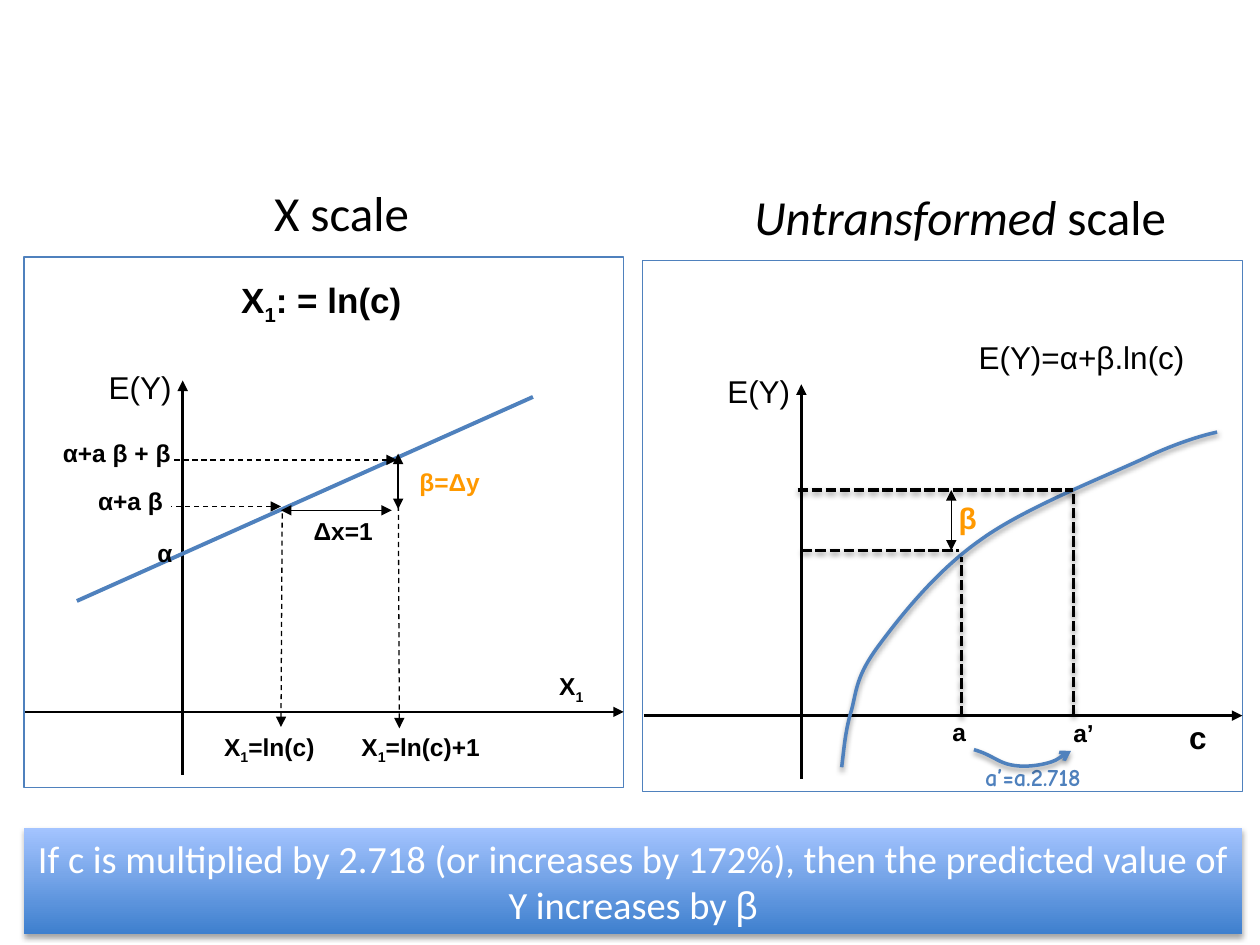
from lxml import etree
from pptx import Presentation
from pptx.dml.color import RGBColor
from pptx.enum import dml, shapes, text
from pptx.oxml import ns
from pptx.util import Inches, Pt

BLACK, BLUE, ORANGE, WHITE = "000000", "4F81BD", "FF9900", "FFFFFF"
LEFT, CENTER, RIGHT = text.PP_ALIGN.LEFT, text.PP_ALIGN.CENTER, text.PP_ALIGN.RIGHT
DASH, SHORT_DASH = dml.MSO_LINE.DASH, dml.MSO_LINE.SQUARE_DOT


def color(value):
    return RGBColor.from_string(value)


def add_child(parent, tag, **attributes):
    return etree.SubElement(parent, ns.qn(tag), attributes)


def set_effects(shape, shadow=False, alpha=38, distance=1.6):
    """Replace the theme shadow with none, or with a soft one below the shape."""
    effects = add_child(shape.element.spPr, "a:effectLst")
    if shadow:
        outer = add_child(effects, "a:outerShdw", blurRad=str(Pt(3.1)),
                          dist=str(Pt(distance)), dir="5400000", rotWithShape="0")
        black = add_child(outer, "a:srgbClr", val=BLACK)
        add_child(black, "a:alpha", val=str(alpha * 1000))


def style_line(shape, stroke, width, dash=None, head=None, tail=None):
    line = shape.line
    line.color.rgb = color(stroke)
    line.width = Pt(width)
    if dash:
        line.dash_style = dash
    outline = shape.element.spPr.find(ns.qn("a:ln"))
    for tag, arrow in (("a:headEnd", head), ("a:tailEnd", tail)):
        if arrow:
            add_child(outline, tag, type=arrow)


def add_line(page, start, end, width=0.75, stroke=BLACK, dash=None,
             head=None, tail=None, shadow=False):
    points = [Inches(value) for value in (*start, *end)]
    connector = page.shapes.add_connector(shapes.MSO_CONNECTOR.STRAIGHT, *points)
    style_line(connector, stroke, width, dash, head, tail)
    set_effects(connector, shadow)


def add_curve(page, points, tail=None):
    """Draw a Bezier curve: a start, then two control points and an end per piece."""
    start, *others = [(Inches(x), Inches(y)) for x, y in points]
    builder = page.shapes.build_freeform(*start)
    builder.add_line_segments(others, close=False)
    curve = builder.convert_to_shape()
    segments = list(curve.element.iter(ns.qn("a:lnTo")))
    for first in range(0, len(segments), 3):
        piece = segments[first:first + 3]
        bezier = etree.Element(ns.qn("a:cubicBezTo"))
        piece[0].addprevious(bezier)
        for segment in piece:
            bezier.append(segment[0])
            segment.getparent().remove(segment)
    curve.fill.background()
    style_line(curve, BLUE, 2, tail=tail)
    set_effects(curve, shadow=True)


def write(frame, spans, size, stroke=BLACK, bold=False, align=LEFT, font="Arial"):
    """Fill a frame; a span is text, or text with 'sub', 'italic' or a font name."""
    frame.word_wrap = True
    para = frame.paragraphs[0]
    para.alignment = align
    for item in spans:
        content, kind = (item, None) if isinstance(item, str) else item
        span = para.add_run()
        span.text = content
        span.font.name = font
        span.font.size = Pt(size)
        span.font.bold = bold
        span.font.color.rgb = color(stroke)
        if kind == "sub":
            span.font._element.set("baseline", "-25000")
        elif kind == "italic":
            span.font.italic = True
        elif kind:
            span.font.name = kind


def add_text(page, place, spans, size, **style):
    box = page.shapes.add_textbox(*map(Inches, place))
    write(box.text_frame, spans, size, **style)


def add_label(page, place, *spans, size=14, stroke=BLACK, font="Arial"):
    add_text(page, place, spans, size, stroke=stroke, bold=True, font=font)


def add_panel(page, title, dx, dy):
    """Draw the title, frame and axes of one graph, moved by dx and dy."""
    add_text(page, (0.5 + dx, 1.4 + dy, 4.42, 0.76), title, 28,
             align=CENTER, font="Calibri")
    frame = page.shapes.add_shape(
        shapes.MSO_SHAPE.RECTANGLE,
        *map(Inches, (0.19 + dx, 2.04 + dy, 4.76, 4.21)))
    frame.fill.background()
    style_line(frame, BLUE, 0.75)
    set_effects(frame)
    add_line(page, (1.45 + dx, 3.02 + dy), (1.45 + dx, 6.15 + dy), 2, head="triangle")
    add_line(page, (0.2 + dx, 5.65 + dy), (4.95 + dx, 5.65 + dy), 1.5, tail="triangle")
    add_text(page, (0.04 + dx, 2.87 + dy, 1.42, 0.4), ["E(Y)"], 18, align=RIGHT)


def add_log_graph(page):
    add_panel(page, ["X scale"], 0, 0)
    add_line(page, (0.61, 4.77), (4.23, 3.15), 2.25, BLUE)
    guides = [((2.23, 5.77), (2.24, 4.06)), ((3.17, 5.78), (3.16, 3.64)),
              ((3.15, 3.65), (1.36, 3.65)), ((2.23, 4.02), (1.36, 4.02))]
    for start, end in guides:
        add_line(page, start, end, dash=DASH, head="triangle")
    for start, end in [((2.23, 4.05), (3.11, 4.05)), ((3.16, 3.6), (3.16, 4.04))]:
        add_line(page, start, end, head="triangle", tail="triangle")

    add_text(page, (0.74, 2.16, 3.62, 0.44), ["X", ("1", "sub"), ": = ln(c)"], 20,
             bold=True, align=CENTER)
    add_label(page, (0.4, 3.43, 1.12, 0.38), "α+a β + β")
    add_label(page, (0.68, 3.81, 1, 0.38), "α+a β")
    add_label(page, (1.15, 4.22, 0.38, 0.38), "α")
    add_label(page, (3.23, 3.66, 1, 0.38), "β=Δy", stroke=ORANGE)
    add_label(page, (2.39, 4.05, 0.69, 0.44), "Δx=1")
    add_label(page, (4.34, 5.28, 0.57, 0.38), "X", ("1", "sub"))
    add_label(page, (1.68, 5.76, 0.92, 0.38), "X", ("1", "sub"), "=ln(c)")
    add_label(page, (2.77, 5.76, 1.31, 0.38), "X", ("1", "sub"), "=ln(c)+1")


def add_untransformed_graph(page):
    add_panel(page, [("Untransformed", "italic"), " scale"], 4.91, 0.03)
    add_curve(page, [
        (6.68, 6.09), (6.7, 5.93), (6.71, 5.79), (6.76, 5.63),
        (6.8, 5.47), (6.8, 5.36), (6.97, 5.13),
        (7.14, 4.9), (7.43, 4.53), (7.79, 4.28),
        (8.15, 4.02), (8.83, 3.76), (9.14, 3.61),
        (9.45, 3.47), (9.66, 3.43), (9.66, 3.43)])
    add_line(page, (7.55, 3.89), (7.55, 4.37), head="triangle", tail="triangle")
    guides = [((6.33, 3.89), (8.52, 3.89)), ((6.36, 4.37), (7.61, 4.37)),
              ((7.63, 5.69), (7.63, 4.42)), ((8.52, 5.68), (8.52, 3.92))]
    for start, end in guides:
        add_line(page, start, end, 2, dash=SHORT_DASH, shadow=True)

    add_text(page, (7.31, 2.63, 2.19, 0.4), ["E(Y)=α+β.ln(c)"], 18, align=RIGHT)
    add_label(page, (7.51, 3.92, 1, 0.38), "β", size=17, stroke=ORANGE)
    add_label(page, (7.46, 5.64, 0.42, 0.38), "a")
    add_label(page, (8.42, 5.65, 0.73, 0.38), "a’")
    add_label(page, (9.34, 5.65, 0.57, 0.38), "c", size=18)
    add_label(page, (7.72, 6, 1.3, 0.38), "a’=a.2.718", stroke=BLUE, font="Comic Neue")
    add_curve(page, [
        (7.73, 5.95), (7.87, 5.99), (7.92, 6.05), (8.02, 6.07),
        (8.11, 6.09), (8.22, 6.08), (8.3, 6.06),
        (8.38, 6.04), (8.43, 6), (8.5, 5.96)], tail="arrow")


def add_conclusion(page):
    banner = page.shapes.add_shape(
        shapes.MSO_SHAPE.RECTANGLE, *map(Inches, (0.19, 6.57, 9.67, 0.84)))
    banner.fill.gradient()
    banner.fill.gradient_angle = 90
    stops = banner.fill.gradient_stops
    for stop, position, value in zip(stops, (0, 1), ("3F80CE", "A4C4FF")):
        stop.position = position
        stop.color.rgb = color(value)
    banner.line.fill.background()
    set_effects(banner, shadow=True, alpha=35, distance=1.8)
    write(banner.text_frame,
          ["If c is multiplied by 2.718 (or increases by 172%), "
           "then the predicted value of Y increases by ", ("β", "Arial")],
          22, stroke=WHITE, align=CENTER, font="Calibri")


def main():
    deck = Presentation()
    deck.slide_width, deck.slide_height = Inches(10), Inches(7.5)
    page = deck.slides.add_slide(deck.slide_layouts[6])
    add_log_graph(page)
    add_untransformed_graph(page)
    add_conclusion(page)
    deck.save("out.pptx")


if __name__ == "__main__":
    main()
